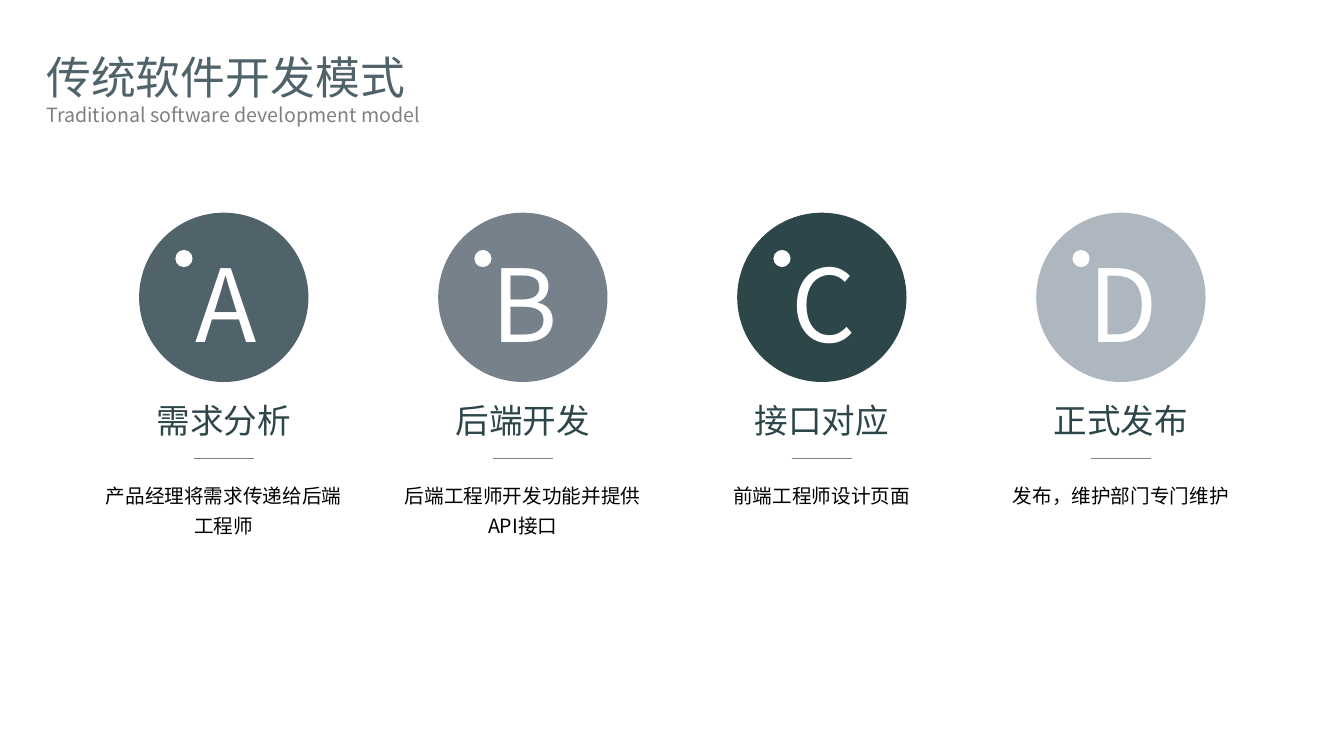
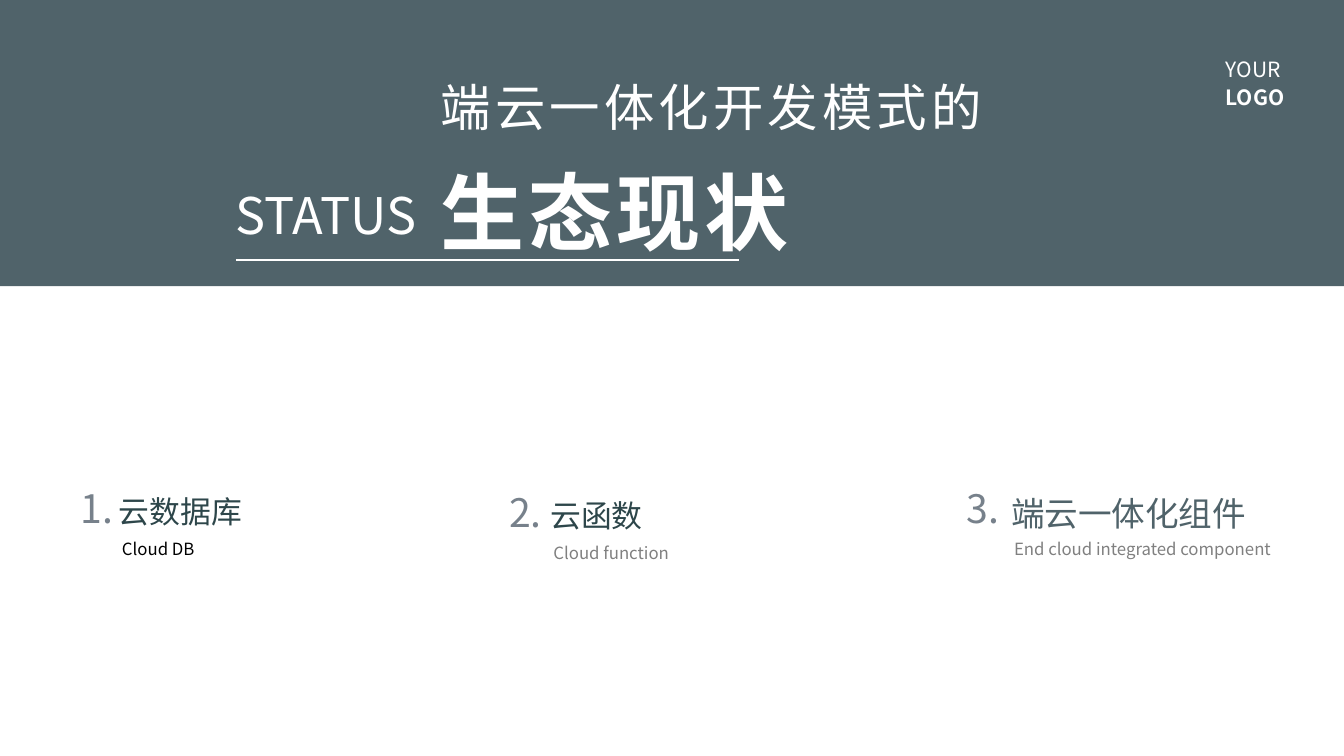
import pptx
import pptx.dml.color
import pptx.enum.shapes
import pptx.enum.text
import pptx.oxml
import pptx.oxml.ns
import pptx.util
from lxml import etree

COLS, ROWS = 80, 45
CELL = pptx.util.Inches(1) / 6
FONT = "Noto Sans CJK JP"
COLORS = {
    "slate": "50636A",
    "steel": "77818B",
    "pine": "2D464A",
    "mist": "AEB7C0",
    "grey": "808080",
    "white": "FFFFFF",
    "black": "000000",
}
SHAPES = pptx.enum.shapes.MSO_SHAPE
ALIGN = pptx.enum.text.PP_ALIGN
ANCHOR = pptx.enum.text.MSO_ANCHOR

STAGES = [
    ("A", "slate", "需求分析", "产品经理将需求传递给后端工程师"),
    ("B", "steel", "后端开发", "后端工程师开发功能并提供API接口"),
    ("C", "pine", "接口对应", "前端工程师设计页面"),
    ("D", "mist", "正式发布", "发布，维护部门专门维护"),
]
# left, top, gap to the name, name, name size, name colour, translation, its colour
PARTS = [
    (4.8, 28.8, 2.28, "云数据库", 22, "pine", "Cloud DB", "black"),
    (30.3, 29.04, 2.46, "云函数", 22, "pine", "Cloud function", "grey"),
    (57.54, 28.8, 2.64, "端云一体化组件", 24, "slate",
     "End cloud integrated component", "grey"),
]


def cells(*counts):
    """Turn grid cells into slide lengths."""
    return [round(count * CELL) for count in counts]


def rgb(name):
    return pptx.dml.color.RGBColor.from_string(COLORS[name])


def add_filled(slide, kind, box, color):
    shape = slide.shapes.add_shape(kind, *cells(*box))
    shape.shadow.inherit = False
    shape.fill.solid()
    shape.fill.fore_color.rgb = rgb(color)
    shape.line.fill.background()


def add_rule(slide, left, right, y, color, width):
    rule = slide.shapes.add_connector(
        pptx.enum.shapes.MSO_CONNECTOR.STRAIGHT, *cells(left, y, right, y))
    rule.line.color.rgb = rgb(color)
    rule.line.width = pptx.util.Pt(width)
    etree.SubElement(rule._element.spPr, pptx.oxml.ns.qn("a:effectLst"))


def add_text(slide, box, lines, color, anchor=ANCHOR.TOP, tracking=0, **layout):
    """Write lines of (text, size, bold, space before) into one box."""
    frame = slide.shapes.add_textbox(*cells(*box)).text_frame
    margins = dict.fromkeys(
        ("margin_left", "margin_top", "margin_right", "margin_bottom"), 0)
    for key, value in {**margins, "word_wrap": True, "vertical_anchor": anchor}.items():
        setattr(frame, key, value)
    for index, (text, size, bold, before) in enumerate(lines):
        paragraph = frame.add_paragraph() if index else frame.paragraphs[0]
        if before:
            paragraph.space_before = pptx.util.Pt(before)
        for key, value in layout.items():
            setattr(paragraph, key, value)
        run = paragraph.add_run()
        run.text = text
        for key, value in {"name": FONT, "size": pptx.util.Pt(size), "bold": bold}.items():
            setattr(run.font, key, value)
        run.font.color.rgb = rgb(color)
        properties = run._r.get_or_add_rPr()
        etree.SubElement(properties, pptx.oxml.ns.qn("a:ea"), typeface=FONT)
        if tracking:
            properties.set("spc", str(tracking * 100))


def add_line(slide, box, text, size, color, **layout):
    add_text(slide, box, [(text, size, False, 0)], color, **layout)


def add_title(slide, left, top, title, translation):
    add_line(slide, (left, top, 40, 3.24), title, 32, "slate")
    add_line(slide, (left, top + 3.18, 40, 1.44), translation, 14, "grey")


def add_stage(slide, left, top, width, stage):
    """Lettered disc with a name, a short rule and a description below."""
    letter, color, name, description = stage
    middle = left + width / 2
    disc = 10.08
    add_filled(slide, SHAPES.OVAL, (middle - disc / 2, top, disc, disc), color)
    add_line(slide, (left + 3.66, top + 1.74, 7.08, 7.26), letter, 72, "white",
             alignment=ALIGN.CENTER)
    add_filled(slide, SHAPES.OVAL, (left + 4.2, top + 2.22, 1.02, 1.02), "white")
    add_line(slide, (left, top + 11.16, width, 2.4), name, 24, "pine",
             alignment=ALIGN.CENTER)
    add_rule(slide, middle - 1.8, middle + 1.8, top + 14.64, "grey", 0.5)
    add_line(slide, (left, top + 15.72, width, 3.48), description, 14, "black",
             alignment=ALIGN.CENTER, line_spacing=1.3)


def add_band(slide, height):
    """Section heading on a full-width band."""
    left, rule_y = 14.04, height - 1.56
    add_filled(slide, SHAPES.RECTANGLE, (0, 0, COLS, height), "slate")
    add_line(slide, (left, height - 6.12, 12, 3.66), "STATUS", 36, "white",
             anchor=ANCHOR.MIDDLE)
    add_rule(slide, left, left + 29.94, rule_y, "white", 1)
    add_text(slide, (26.22, 4.56, 46, 11),
             [("端云一体化开发模式的", 36, False, 0), ("生态现状", 60, True, 17)],
             "white", tracking=3)
    add_text(slide, (72.96, 3.38, 6, 3.2),
             [("YOUR", 15, False, 0), ("LOGO", 15, True, 2)], "white")


def add_part(slide, left, top, gap, name, size, name_color, translation, color):
    """Numbered name with its translation below."""
    number = f"{1 + [part[3] for part in PARTS].index(name)}."
    name_left = left + gap
    add_line(slide, (left, top, 2.52, 2.82), number, 28, "steel", anchor=ANCHOR.MIDDLE)
    add_line(slide, (name_left, top + 0.54, 16.68, 2.4), name, size, name_color)
    add_line(slide, (name_left + 0.18, top + 3.24, 17, 1.2), translation, 12, color)


def build_stages(slide):
    add_title(slide, 2.76, 2.94, "传统软件开发模式", "Traditional software development model")
    for index, stage in enumerate(STAGES):
        add_stage(slide, 6.24 + index * 17.8, 12.66, 14.16, stage)


def build_status(slide):
    add_band(slide, 17.04)
    for part in PARTS:
        add_part(slide, *part)


def main():
    deck = pptx.Presentation()
    deck.slide_width, deck.slide_height = cells(COLS, ROWS)
    for build in (build_stages, build_status):
        build(deck.slides.add_slide(deck.slide_layouts[6]))
    deck.save("out.pptx")


if __name__ == "__main__":
    main()
